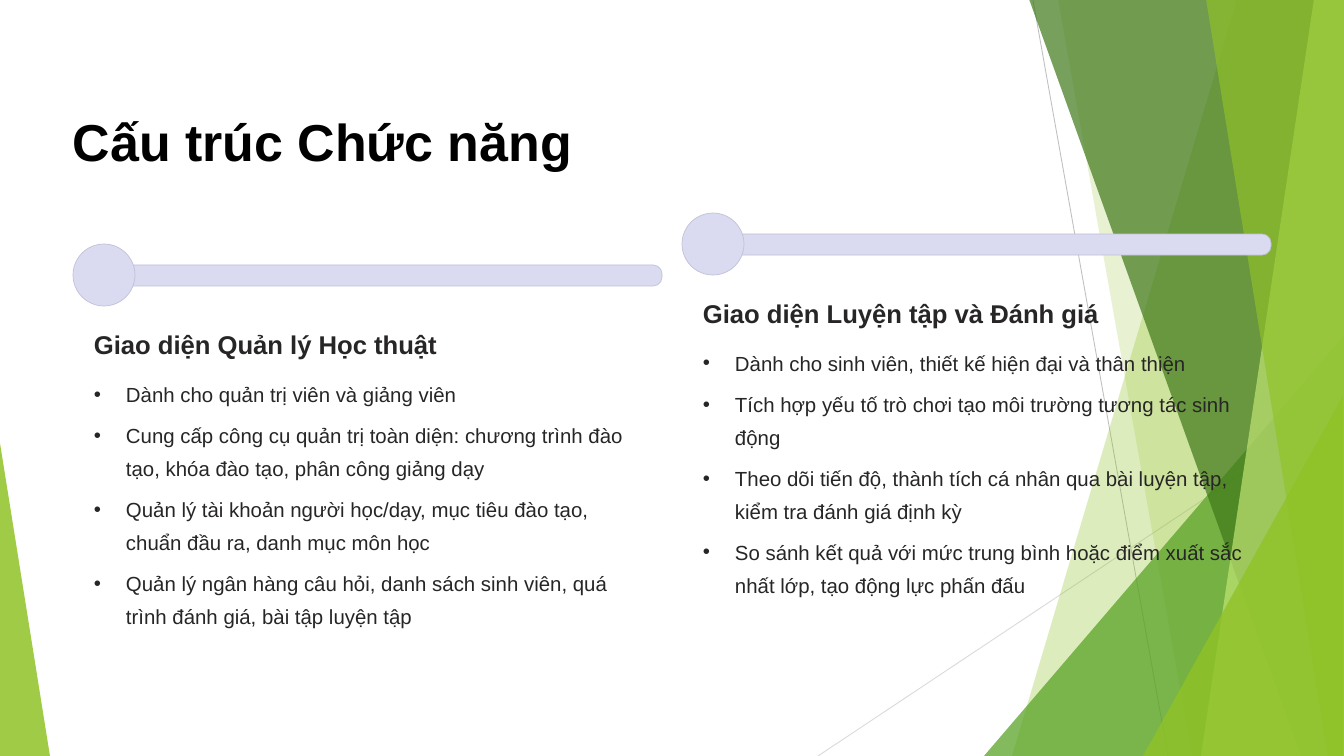
from pptx import Presentation
from pptx.dml.color import RGBColor
from pptx.enum.shapes import MSO_CONNECTOR, MSO_SHAPE
from pptx.oxml.ns import qn
from pptx.util import Emu, Pt
from lxml.etree import SubElement

UNIT = 914400 / 84  # EMU in one px
FONT = "Arial"
HEX = {
    "black": "000000", "ink": "272525", "lilac": "DADBF1", "edge": "C0C1D7",
    "lime": "90C226", "green": "54A021", "dark": "3F7819", "pale": "C0E474",
    "grey": "BFBFBF", "mist": "D9D9D9",
}

# Decoration: ends and colour; corners, colour and opacity; box, tip, colour and opacity
LINES = [((1033, 0, 1168, 756), "grey"), ((1344, 406, 818, 756), "mist")]
BACK = [
    ([(1237, -1), (1344, -1), (1344, 756), (1012, 756)], "lime", 30),
    ([(1058, -1), (1344, -1), (1344, 756), (1192, 756)], "lime", 20),
]
FRONT = [
    ([(1029, -1), (1344, -1), (1344, 756), (1301, 756)], "dark", 70),
    ([(1314, -1), (1344, -1), (1344, 756), (1201, 756)], "pale", 70),
    ([(1206, -1), (1344, -1), (1344, 756), (1328, 756)], "lime", 65),
]
WEDGE = ((984, 336, 360, 420), 1, "green", 72)
CORNERS = [
    ((1143, 396, 200, 360), 1, "lime", 80),
    ((0, 443, 50, 313), 0, "lime", 85),
]

# Columns: left, top, heading, heading width, items with their line counts
COLUMNS = [
    (73, 244, "Giao diện Quản lý Học thuật", 352, [
        ("Dành cho quản trị viên và giảng viên", 1),
        ("Cung cấp công cụ quản trị toàn diện: chương trình đào tạo, "
         "khóa đào tạo, phân công giảng dạy", 2),
        ("Quản lý tài khoản người học/dạy, mục tiêu đào tạo, "
         "chuẩn đầu ra, danh mục môn học", 2),
        ("Quản lý ngân hàng câu hỏi, danh sách sinh viên, "
         "quá trình đánh giá, bài tập luyện tập", 2),
    ]),
    (682, 213, "Giao diện Luyện tập và Đánh giá", 404, [
        ("Dành cho sinh viên, thiết kế hiện đại và thân thiện", 1),
        ("Tích hợp yếu tố trò chơi tạo môi trường tương tác sinh động", 2),
        ("Theo dõi tiến độ, thành tích cá nhân qua bài luyện tập, "
         "kiểm tra đánh giá định kỳ", 2),
        ("So sánh kết quả với mức trung bình hoặc điểm xuất sắc nhất lớp, "
         "tạo động lực phấn đấu", 2),
    ]),
]


def px(*nums):
    return [Emu(round(n * UNIT)) for n in nums]


def tint(name):
    return RGBColor.from_string(HEX[name])


def paint(shape, color, alpha=100, edge=None):
    shape.shadow.inherit = False
    shape.fill.solid()
    shape.fill.fore_color.rgb = tint(color)
    if alpha < 100:
        clr = shape.fill._xPr.find(qn("a:solidFill"))[0]
        SubElement(clr, qn("a:alpha")).set("val", str(alpha * 1000))
    if edge:
        shape.line.color.rgb = tint(edge)
        shape.line.width = Pt(0.6)
    else:
        shape.line.fill.background()


def add_line(shapes, ends, color):
    line = shapes.add_connector(MSO_CONNECTOR.STRAIGHT, *px(*ends))
    line.line.color.rgb = tint(color)
    line.line.width = Pt(0.75)
    SubElement(line._element.spPr, qn("a:effectLst"))


def add_band(shapes, points, color, alpha):
    pen = shapes.build_freeform(*points[0], scale=UNIT)
    pen.add_line_segments(points[1:], close=True)
    paint(pen.convert_to_shape(), color, alpha)


def add_wedge(shapes, box, tip, color, alpha):
    wedge = shapes.add_shape(MSO_SHAPE.ISOSCELES_TRIANGLE, *px(*box))
    wedge.adjustments[0] = tip
    paint(wedge, color, alpha)


def add_pill(shapes, box, curve):
    pill = shapes.add_shape(MSO_SHAPE.ROUNDED_RECTANGLE, *px(*box))
    pill.adjustments[0] = curve
    paint(pill, "lilac", edge="edge")


def add_text(shapes, box, text, size, lead, color="ink", bullet=False):
    frame = shapes.add_textbox(*px(*box)).text_frame
    frame.word_wrap = bullet
    frame.margin_left = frame.margin_right = 0
    frame.margin_top = frame.margin_bottom = 0
    frame.text = text
    para = frame.paragraphs[0]
    para.line_spacing = Pt(lead)
    if bullet:
        props = para._p.get_or_add_pPr()
        indent = px(32)[0]
        props.set("marL", str(indent))
        props.set("indent", str(-indent))
        SubElement(props, qn("a:buSzPct")).set("val", "100000")
        SubElement(props, qn("a:buFont")).set("typeface", FONT)
        SubElement(props, qn("a:buChar")).set("char", "•")
    font = para.runs[0].font
    font.name = FONT
    font.size = Pt(size)
    font.bold = not bullet
    font.color.rgb = tint(color)


def add_column(shapes, left, top, head, width, items):
    # Bar with its round knob
    add_pill(shapes, (left + 31, top + 21, 558, 21), 0.42)
    add_pill(shapes, (left, top, 62, 62), 0.5)
    # Heading and bullets
    add_text(shapes, (left + 21, top + 84, width, 33), head, 22, 27.5)
    y = top + 129
    for text, count in items:
        high = 33 * count
        add_text(shapes, (left + 21, y, 547, high), text, 17.5, 28.5, bullet=True)
        y += high + 8


def main():
    deck = Presentation()
    deck.slide_width, deck.slide_height = px(1344, 756)
    shapes = deck.slides.add_slide(deck.slide_layouts[6]).shapes

    # Decoration, back to front
    for line in LINES:
        add_line(shapes, *line)
    for band in BACK:
        add_band(shapes, *band)
    add_wedge(shapes, *WEDGE)
    for band in FRONT:
        add_band(shapes, *band)
    for wedge in CORNERS:
        add_wedge(shapes, *wedge)

    # Title and columns
    add_text(shapes, (73, 107, 521, 66), "Cấu trúc Chức năng", 44.5, 55.5, "black")
    for column in COLUMNS:
        add_column(shapes, *column)

    deck.save("out.pptx")


if __name__ == "__main__":
    main()
